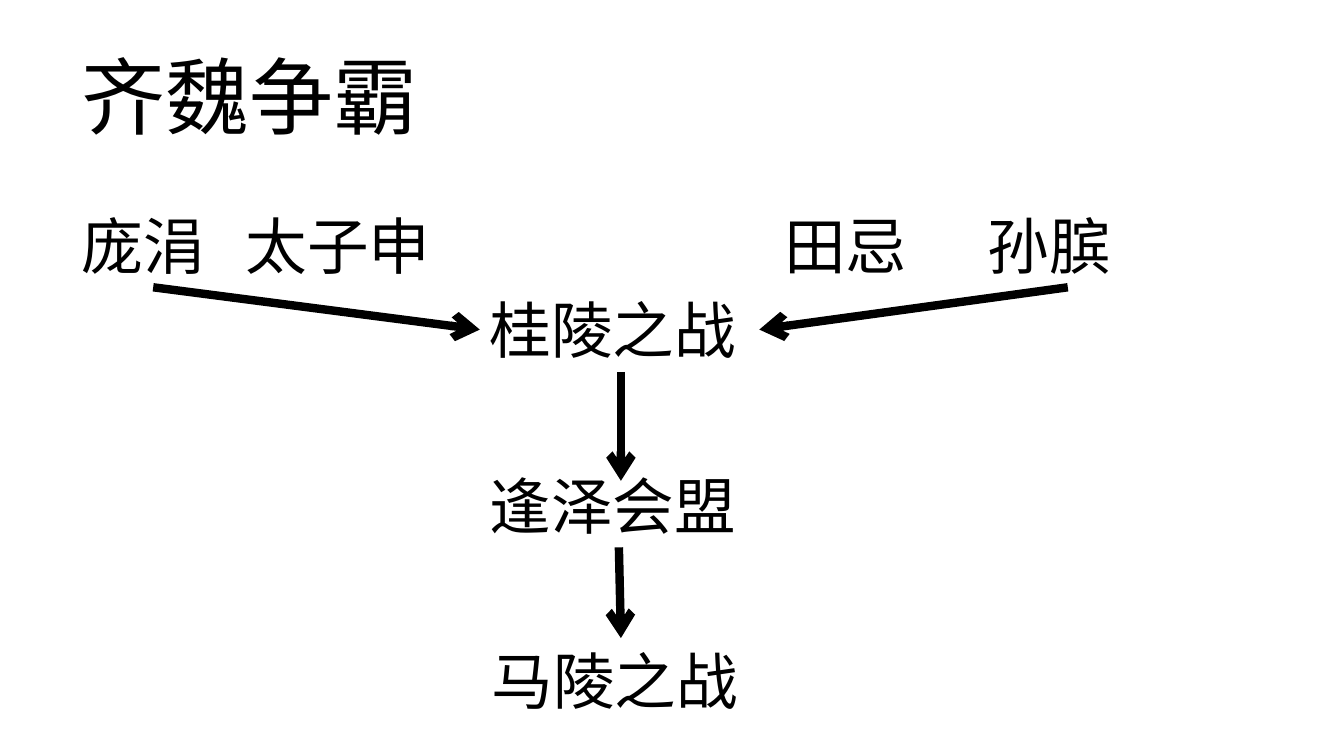
from pptx import Presentation
from pptx.dml.color import RGBColor
from pptx.enum.shapes import MSO_CONNECTOR as CONN
from pptx.enum.text import MSO_ANCHOR as ANCHOR, MSO_AUTO_SIZE as FIT
from pptx.oxml.ns import qn
from pptx.util import Inches, Pt
from lxml.etree import SubElement

BLACK = RGBColor(0, 0, 0)

prs = Presentation()
prs.slide_width, prs.slide_height = Inches(13.33), Inches(7.5)
s = prs.slides.add_slide(prs.slide_layouts[6])
COL, ROW = prs.slide_width / 100, prs.slide_height / 100  # one percent each way

LEFT = 5.33                 # shared left margin
MID, MID_W = 35.7, 20.8     # column of events
BOX_H = 11.2                # height of a one-line label
STEP = 23.2                 # from one event to the next
EVENT_TOP = 38
PEOPLE_TOP = EVENT_TOP - BOX_H


def add_label(text, x, y, w, h=BOX_H, size=44, font="Arial"):
    """Add a black one-line text box and return its text frame."""
    sp = s.shapes.add_textbox(int(x * COL), int(y * ROW), int(w * COL), int(h * ROW))
    tf = sp.text_frame
    tf.word_wrap = True
    r = tf.paragraphs[0].add_run()
    r.text = text
    r.font.name, r.font.size = font, Pt(size)
    r.font.color.rgb = BLACK
    return tf


def add_arrow(x1, y1, x2, y2):
    """Add a thick black line with an open arrowhead at its end."""
    cx = s.shapes.add_connector(CONN.STRAIGHT, int(x1 * COL), int(y1 * ROW),
                                int(x2 * COL), int(y2 * ROW))
    cx.line.width = Pt(6)
    cx.line.color.rgb = BLACK
    SubElement(cx.line._get_or_add_ln(), qn("a:tailEnd"), type="arrow")
    SubElement(cx._element.spPr, qn("a:effectLst"))


title = add_label("齐魏争霸", LEFT, 3.73, 86.25, 19.33, 60, "Montserrat")
title.vertical_anchor = ANCHOR.MIDDLE
title.paragraphs[0].line_spacing = 0.9

# Commanders of both states
for name, x, w in [("庞涓", LEFT, 12.2), ("太子申", 17.55, 17.2),
                   ("田忌", 57.6, 13.35), ("孙膑", 72.75, 13.35)]:
    add_label(name, x, PEOPLE_TOP, w).auto_size = FIT.SHAPE_TO_FIT_TEXT

# Events from top to bottom
for i, (event, x) in enumerate([("桂陵之战", MID), ("逢泽会盟", MID), ("马陵之战", MID + 0.15)]):
    add_label(event, x, EVENT_TOP + i * STEP, MID_W).auto_size = FIT.SHAPE_TO_FIT_TEXT

# Both sides meet in the first battle
for x1, x2 in [(11.4, MID), (79.45, MID + MID_W)]:
    add_arrow(x1, EVENT_TOP, x2, EVENT_TOP + BOX_H / 2)

# Each event leads to the next
for i, (x1, overlap) in enumerate([(46.2, 2.4), (46.05, 0)]):
    top = EVENT_TOP + i * STEP
    add_arrow(x1, top + BOX_H, 46.2, top + STEP + overlap)

prs.save("out.pptx")
